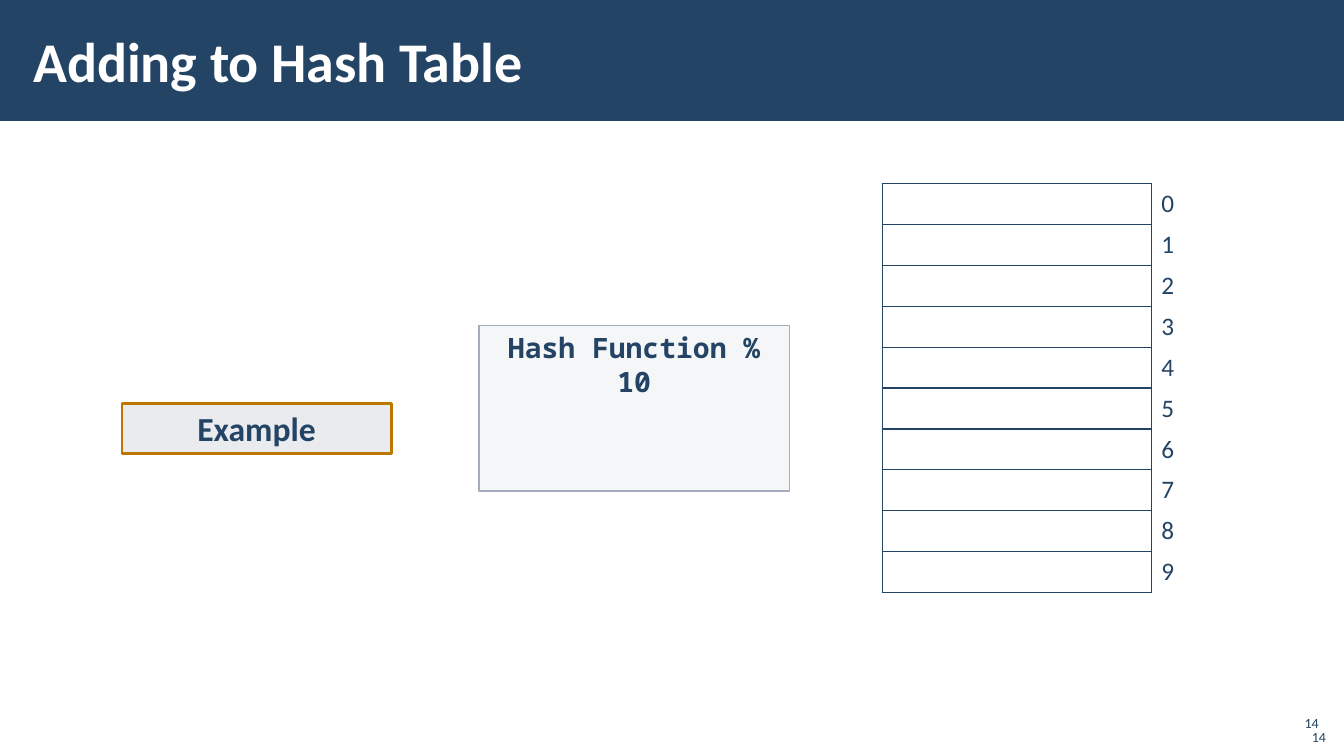
from dataclasses import dataclass

import lxml.etree
import pptx
import pptx.dml.color
import pptx.enum.shapes
import pptx.enum.text
import pptx.oxml.ns
import pptx.util

Inches = pptx.util.Inches
Pt = pptx.util.Pt
RGB = pptx.dml.color.RGBColor.from_string
qn = pptx.oxml.ns.qn
SHAPE = pptx.enum.shapes.MSO_SHAPE
ALIGN = pptx.enum.text.PP_ALIGN
ANCHOR = pptx.enum.text.MSO_ANCHOR


@dataclass(frozen=True)
class Theme:
    navy: str = "234465"
    white: str = "FFFFFF"
    key_fill: str = "E9EBEE"
    key_line: str = "BD7600"
    hash_fill: str = "C2C7D2"
    hash_line: str = "A3ABBC"
    body: str = "Calibri"
    mono: str = "Noto Sans Mono"
    title_size: int = 40
    key_size: int = 24
    hash_size: int = 20
    index_size: int = 18
    number_size: int = 10


theme = Theme()


def write(tf, text, size, color=theme.navy, font=theme.body, bold=False,
          align=ALIGN.LEFT, anchor=ANCHOR.TOP):
    tf.word_wrap = True
    tf.vertical_anchor = anchor
    p = tf.paragraphs[0]
    p.alignment = align
    r = p.add_run()
    r.text = text
    r.font.size = Pt(size)
    r.font.name = font
    r.font.bold = bold
    r.font.color.rgb = RGB(color)


def add_box(shapes, kind, box, fill, line=None, width=1):
    sp = shapes.add_shape(kind, *map(Inches, box))
    sp.shadow.inherit = False
    sp.fill.solid()
    sp.fill.fore_color.rgb = RGB(fill)
    if line:
        sp.line.color.rgb = RGB(line)
        sp.line.width = Pt(width)
    else:
        sp.line.fill.background()
    return sp


prs = pptx.Presentation()
prs.slide_width = Inches(13.33)
prs.slide_height = Inches(7.5)
s = prs.slides.add_slide(prs.slide_layouts[6])

# Title band
add_box(s.shapes, SHAPE.RECTANGLE, (0, 0, 13.33, 1.2), theme.navy)
title = s.shapes.add_textbox(Inches(0.21), Inches(0.11), Inches(10.63), Inches(0.97))
tf = title.text_frame
tf.margin_left = tf.margin_right = Inches(0.12)
tf.margin_top = tf.margin_bottom = Inches(0.04)
write(tf, "Adding to Hash Table", theme.title_size, theme.white, bold=True,
      anchor=ANCHOR.MIDDLE)

# Key to be added
key = add_box(s.shapes, SHAPE.FLOWCHART_PROCESS, (1.21, 4, 2.67, 0.5),
              theme.key_fill, theme.key_line, 2)
write(key.text_frame, "Example", theme.key_size, bold=True,
      align=ALIGN.CENTER, anchor=ANCHOR.MIDDLE)

# Hash function
group = s.shapes.add_group_shape()
panel = add_box(group.shapes, SHAPE.RECTANGLE, (4.75, 3.23, 3.08, 1.64),
                theme.hash_fill, theme.hash_line)
color = panel.fill._xPr.find(qn("a:solidFill"))[0]
lxml.etree.SubElement(color, qn("a:alpha"), val="15000")
label = group.shapes.add_textbox(Inches(4.75), Inches(3.23), Inches(3.08), Inches(0.44))
write(label.text_frame, "Hash Function % 10", theme.hash_size, font=theme.mono,
      bold=True, align=ALIGN.CENTER)

# Slide numbers
for box, inset, anchor in (
    ((12.85, 7.12, 0.4, 0.32), (0.1, 0.05), ANCHOR.BOTTOM),
    ((12.65, 7, 0.47, 0.34), (0.04, 0.04), ANCHOR.MIDDLE),
):
    number = s.shapes.add_textbox(*map(Inches, box))
    tf = number.text_frame
    tf.margin_left = tf.margin_right = Inches(inset[0])
    tf.margin_top = tf.margin_bottom = Inches(inset[1])
    write(tf, "14", theme.number_size, align=ALIGN.RIGHT, anchor=anchor)

# Buckets with their indexes
buckets = 10
table = s.shapes.add_table(buckets, 2, Inches(8.75), Inches(1.82),
                           Inches(3.23), Inches(4.06)).table
table.first_row = table.horz_banding = False
table.columns[0].width = Inches(2.67)
table.columns[1].width = Inches(0.56)
for i, row in enumerate(table.rows):
    row.height = Inches(4.06 / buckets)
    for cell, sides in zip(row.cells, (("L", "R", "T", "B"), ("L",))):
        tcPr = cell._tc.get_or_add_tcPr()
        for side in ("L", "R", "T", "B"):
            ln = lxml.etree.SubElement(tcPr, qn(f"a:ln{side}"), w=str(Pt(1)))
            if side in sides:
                fill = lxml.etree.SubElement(ln, qn("a:solidFill"))
                lxml.etree.SubElement(fill, qn("a:srgbClr"), val=theme.navy)
            else:
                lxml.etree.SubElement(ln, qn("a:noFill"))
        cell.fill.background()
    row.cells[0].text_frame.paragraphs[0].font.size = Pt(theme.index_size)
    index = row.cells[1]
    write(index.text_frame, str(i), theme.index_size)
    index.vertical_anchor = ANCHOR.TOP

prs.save("out.pptx")
